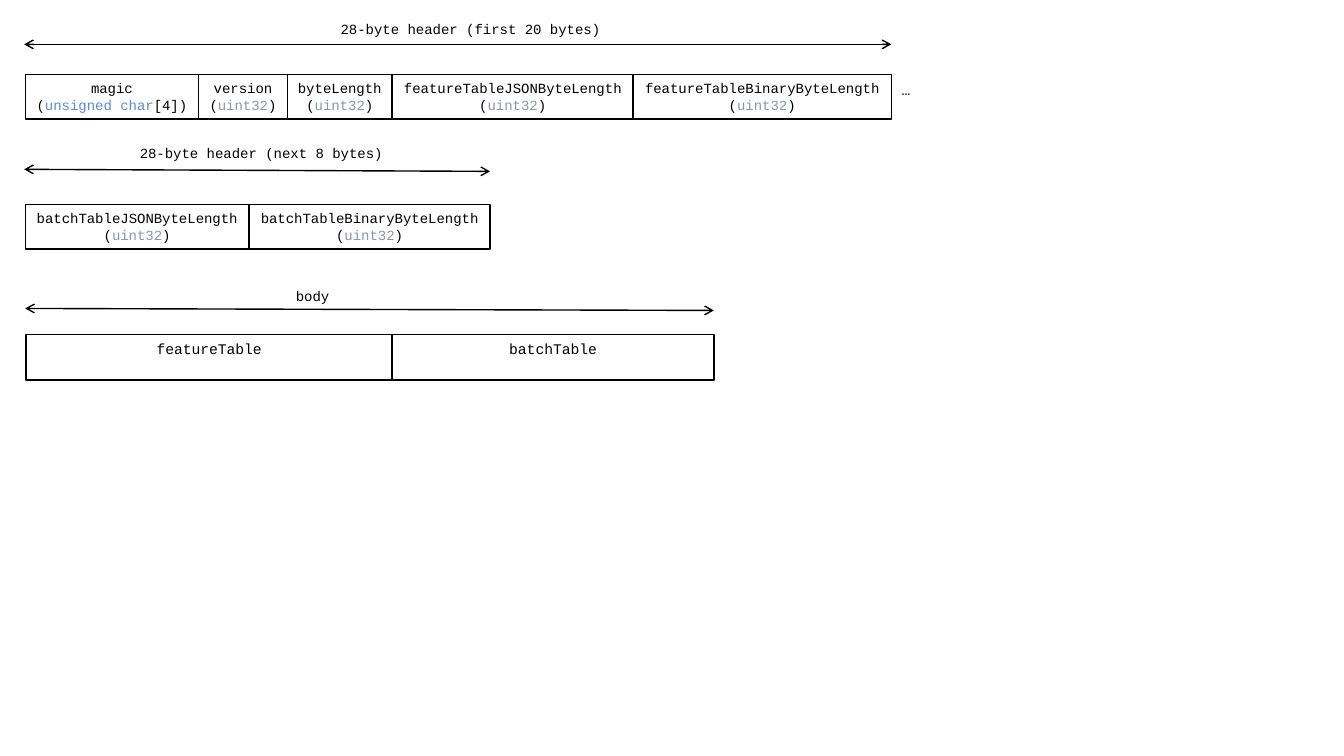
"""Byte layout of a tile file: a 28-byte header in two rows, then the body."""
from dataclasses import dataclass

from lxml.etree import SubElement
from pptx import Presentation
from pptx.dml.color import RGBColor
from pptx.enum.shapes import MSO_CONNECTOR as Connector, MSO_SHAPE as Shape
from pptx.enum.text import MSO_ANCHOR as Anchor, PP_ALIGN as Align
from pptx.oxml.ns import qn
from pptx.util import Inches, Pt


@dataclass(frozen=True)
class Theme:
    font: str = "Courier New"
    ink: str = "000000"
    char_type: str = "558ED5"
    int_type: str = "8497B0"
    field_size: float = 10
    body_size: float = 10.5
    line_width: float = 1


THEME = Theme()
UINT32 = [("(", THEME.ink), ("uint32", THEME.int_type), (")", THEME.ink)]
CHAR4 = [("(", THEME.ink), ("unsigned char", THEME.char_type), ("[4])", THEME.ink)]

SECTIONS = [
    {
        "title": "28-byte header (first 20 bytes)", "title_box": (3.26, 0.15, 2.81),
        "arrow": (0.24, 0.44, 8.84, 0.44),
        "left": 0.25, "top": 0.74, "height": 0.44,
        "size": THEME.field_size, "anchor": Anchor.MIDDLE,
        "fields": [
            ("magic", CHAR4, 1.72),
            ("version", UINT32, 0.88),
            ("byteLength", UINT32, 1.04),
            ("featureTableJSONByteLength", UINT32, 2.39),
            ("featureTableBinaryByteLength", UINT32, 2.56),
        ],
    },
    {
        "title": "28-byte header (next 8 bytes)", "title_box": (1.27, 1.38, 2.64),
        "arrow": (0.24, 1.68, 4.86, 1.7),
        "left": 0.25, "top": 2.03, "height": 0.44,
        "size": THEME.field_size, "anchor": Anchor.MIDDLE,
        "fields": [
            ("batchTableJSONByteLength", UINT32, 2.22),
            ("batchTableBinaryByteLength", UINT32, 2.39),
        ],
    },
    {
        "title": "body", "title_box": (2.83, 2.8, 0.54),
        "arrow": (0.25, 3.06, 7.08, 3.08),
        "left": 0.26, "top": 3.32, "height": 0.45,
        "size": THEME.body_size, "anchor": Anchor.TOP,
        "fields": [("featureTable", None, 3.63), ("batchTable", None, 3.19)],
    },
]
CONTINUATION = ("…", (8.84, 0.75, 0.29, 0.47))


def write(frame, lines, size, anchor=Anchor.TOP):
    frame.word_wrap = False
    frame.vertical_anchor = anchor
    for index, line in enumerate(lines):
        paragraph = frame.add_paragraph() if index else frame.paragraphs[0]
        paragraph.alignment = Align.CENTER
        for words, color in line:
            run = paragraph.add_run()
            run.text = words
            run.font.name = THEME.font
            run.font.size = Pt(size)
            run.font.color.rgb = RGBColor.from_string(color)


def add_label(slide, words, bounds, size):
    label = slide.shapes.add_textbox(*map(Inches, bounds))
    write(label.text_frame, [[(words, THEME.ink)]], size)


def draw_outline(line):
    line.color.rgb = RGBColor.from_string(THEME.ink)
    line.width = Pt(THEME.line_width)


def add_span_arrow(slide, ends):
    arrow = slide.shapes.add_connector(Connector.STRAIGHT, *map(Inches, ends))
    draw_outline(arrow.line)
    outline = arrow.line._get_or_add_ln()
    for end in ("a:headEnd", "a:tailEnd"):
        SubElement(outline, qn(end), type="arrow")
    SubElement(arrow._element.spPr, qn("a:effectLst"))


def add_field(slide, bounds, lines, size, anchor):
    field = slide.shapes.add_shape(Shape.RECTANGLE, *map(Inches, bounds))
    field.shadow.inherit = False
    field.fill.background()
    draw_outline(field.line)
    write(field.text_frame, lines, size, anchor)


def add_section(slide, section):
    add_label(slide, section["title"], (*section["title_box"], 0.27), THEME.field_size)
    add_span_arrow(slide, section["arrow"])
    left = section["left"]
    for name, type_line, width in section["fields"]:
        lines = [[(name, THEME.ink)]] + ([type_line] if type_line else [])
        bounds = (left, section["top"], width, section["height"])
        add_field(slide, bounds, lines, section["size"], section["anchor"])
        left += width


def main():
    deck = Presentation()
    deck.slide_width, deck.slide_height = Inches(13.33), Inches(7.5)
    slide = deck.slides.add_slide(deck.slide_layouts[6])
    for section in SECTIONS:
        add_section(slide, section)
    add_label(slide, *CONTINUATION, THEME.body_size)
    deck.save("out.pptx")


if __name__ == "__main__":
    main()
